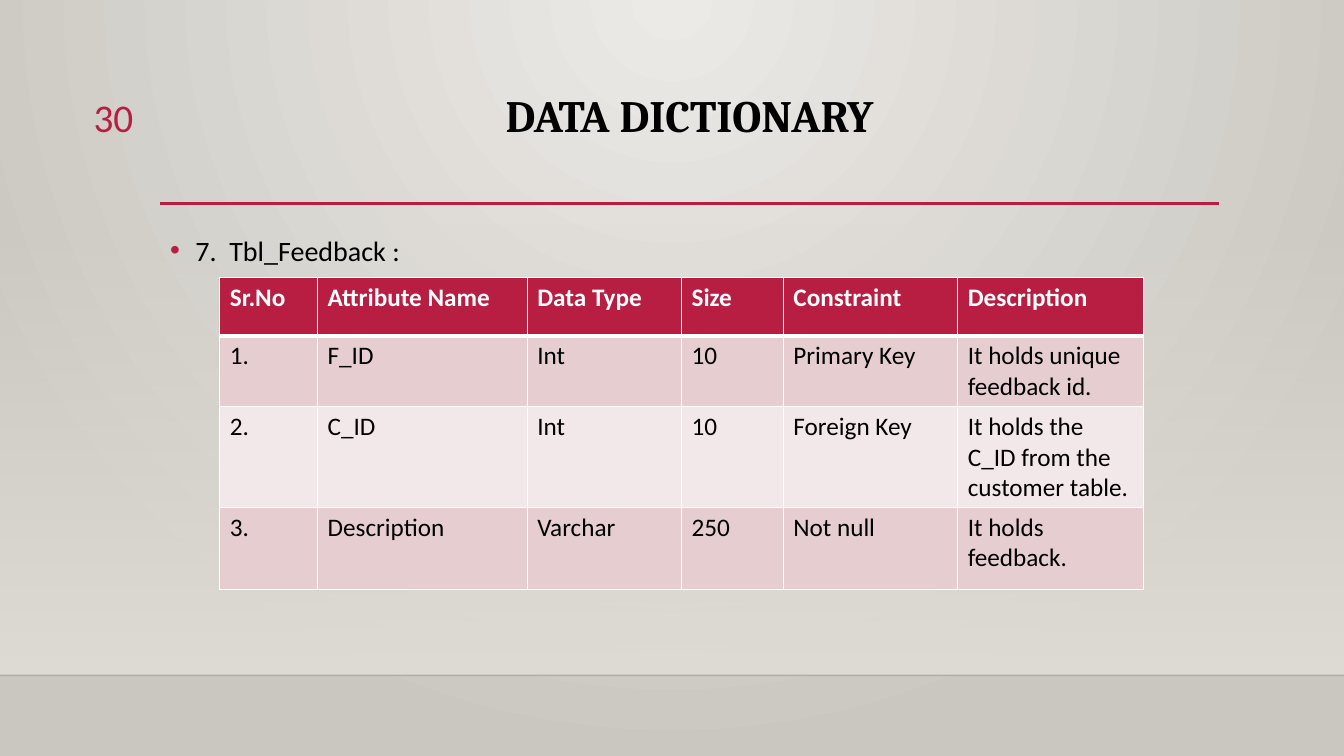
import pptx
import pptx.dml.color
import pptx.enum.shapes
import pptx.enum.text
import pptx.oxml
import pptx.oxml.ns
import pptx.util
from pptx.util import Inches

NS = pptx.oxml.ns.nsdecls("a")
ALIGN = pptx.enum.text.PP_ALIGN
COLORS = {
    "accent": "B71E42",
    "black": "000000",
    "white": "FFFFFF",
    "band_dark": "E6CDCF",
    "band_light": "F3E8E9",
    "glow": "ECEAE7",
    "wall": "CAC7C1",
    "haze": "DFDBD5",
    "edge": "000001",
}
SLIDE_W, SLIDE_H = 13.33, 7.5
FLOOR_Y = 6.7
COL_WIDTHS = [0.97, 2.08, 1.53, 1.01, 1.73, 1.84]
ROW_HEIGHTS = [0.58, 0.58, 0.82, 0.82]
ROWS = [
    ["Sr.No", "Attribute Name", "Data Type", "Size", "Constraint", "Description"],
    ["1.", "F_ID", "Int", "10", "Primary Key", "It holds unique feedback id."],
    ["2.", "C_ID", "Int", "10", "Foreign Key",
     "It holds the C_ID from the customer table."],
    ["3.", "Description", "Varchar", "250", "Not null", "It holds feedback."],
]


def rgb(name):
    return pptx.dml.color.RGBColor.from_string(COLORS[name])


def xml(text):
    """Parse one drawing element given without its namespace declaration."""
    tag, rest = text.split(" ", 1)
    return pptx.oxml.parse_xml(f"{tag} {NS} {rest}")


def set_font(p, color, **values):
    for key, value in values.items():
        setattr(p.font, key, value)
    p.font.color.rgb = rgb(color)


def set_gradient(fill, parent, colors, direction):
    """Two-stop gradient; direction is the a:lin or a:path element."""
    fill.gradient()
    for stop, color in zip(fill.gradient_stops, colors):
        stop.color.rgb = rgb(color)
    grad = parent.find(".//" + pptx.oxml.ns.qn("a:gradFill"))
    lin = grad.find(pptx.oxml.ns.qn("a:lin"))
    grad.replace(lin, direction)
    return grad


def add_rule(s, x, y, w, color, width, alpha=None):
    line = s.shapes.add_connector(
        pptx.enum.shapes.MSO_CONNECTOR.STRAIGHT,
        Inches(x), Inches(y), Inches(x + w), Inches(y))
    line.line.color.rgb = rgb(color)
    line.line.width = pptx.util.Pt(width)
    sp_pr = line._element.spPr
    if alpha is not None:
        clr = sp_pr.find(".//" + pptx.oxml.ns.qn("a:srgbClr"))
        clr.append(xml(f'<a:alpha val="{alpha * 1000}"/>'))
    sp_pr.append(xml("<a:effectLst />"))


def add_text(s, x, y, w, h, text, color, align=ALIGN.LEFT, spacing=1.0,
             bullet=False, **font):
    tf = s.shapes.add_textbox(Inches(x), Inches(y), Inches(w), Inches(h)).text_frame
    tf.word_wrap = True
    p = tf.paragraphs[0]
    p.text = text
    p.alignment = align
    p.line_spacing = spacing
    if bullet:
        p_pr = p._p.get_or_add_pPr()
        p_pr.set("marL", str(Inches(0.25)))
        p_pr.set("indent", str(-Inches(0.25)))
        p_pr.append(xml(f'<a:buClr ><a:srgbClr val="{COLORS["accent"]}"/></a:buClr>'))
        p_pr.append(xml('<a:buFont typeface="Arial"/>'))
        p_pr.append(xml('<a:buChar char="•"/>'))
    set_font(p, color, **font)


def add_backdrop(s):
    set_gradient(
        s.background.fill, s._element, ["glow", "wall"],
        xml('<a:path path="circle"><a:fillToRect l="43000" t="0" r="43000" b="100000"/></a:path>'))
    top = 2.21
    haze = s.shapes.add_shape(
        pptx.enum.shapes.MSO_SHAPE.RECTANGLE,
        0, Inches(top), Inches(SLIDE_W), Inches(FLOOR_Y - top))
    haze.shadow.inherit = False
    haze.line.fill.background()
    grad = set_gradient(haze.fill, haze._element, ["haze", "haze"],
                        xml('<a:lin ang="5400000" scaled="0"/>'))
    first = grad.find(".//" + pptx.oxml.ns.qn("a:srgbClr"))
    first.append(xml('<a:alpha val="0"/>'))
    add_rule(s, 0, FLOOR_Y, SLIDE_W, "edge", 1, alpha=20)


def add_header(s, x, y, w, h, title, number):
    add_rule(s, x, y + h, w, "accent", 2.5)
    add_text(s, x, y, w, h, title, "black", ALIGN.CENTER, 0.9,
             name="Cambria", size=pptx.util.Pt(32), bold=True)
    add_text(s, x - 1.06, y, 0.89, 0.55, number, "accent", ALIGN.RIGHT,
             name="Calibri", size=pptx.util.Pt(28))


def set_borders(cell, bottom, top):
    tc_pr = cell._tc.get_or_add_tcPr()
    widths = {"lnL": 1, "lnR": 1, "lnT": top, "lnB": bottom}
    for i, (side, width) in enumerate(widths.items()):
        tc_pr.insert(i, xml(
            f'<a:{side} w="{pptx.util.Pt(width)}"><a:solidFill>'
            f'<a:srgbClr val="{COLORS["white"]}"/></a:solidFill></a:{side}>'))


def add_dictionary(s, x, y):
    table = s.shapes.add_table(
        len(ROWS), len(COL_WIDTHS), Inches(x), Inches(y),
        Inches(sum(COL_WIDTHS)), Inches(sum(ROW_HEIGHTS))).table
    for col, width in zip(table.columns, COL_WIDTHS):
        col.width = Inches(width)
    for r, (row, height) in enumerate(zip(ROWS, ROW_HEIGHTS)):
        table.rows[r].height = Inches(height)
        header = r == 0
        band = "accent" if header else "band_dark" if r % 2 else "band_light"
        for c, text in enumerate(row):
            cell = table.cell(r, c)
            cell.fill.solid()
            cell.fill.fore_color.rgb = rgb(band)
            set_borders(cell, bottom=3 if header else 1, top=3 if r == 1 else 1)
            p = cell.text_frame.paragraphs[0]
            p.text = text
            set_font(p, "white" if header else "black", name="Calibri",
                     size=pptx.util.Pt(18), bold=header)


def main():
    prs = pptx.Presentation()
    prs.slide_width, prs.slide_height = Inches(SLIDE_W), Inches(SLIDE_H)
    s = prs.slides.add_slide(prs.slide_layouts[6])
    add_backdrop(s)
    add_header(s, 1.59, 0.88, 10.5, 1.14, "DATA DICTIONARY", "30")
    add_text(s, 1.59, 2.2, 10.5, 3.77, "7.  Tbl_Feedback :", "black",
             spacing=1.2, bullet=True, name="Calibri", size=pptx.util.Pt(20))
    add_dictionary(s, 2.18, 2.75)
    prs.save("out.pptx")


if __name__ == "__main__":
    main()
